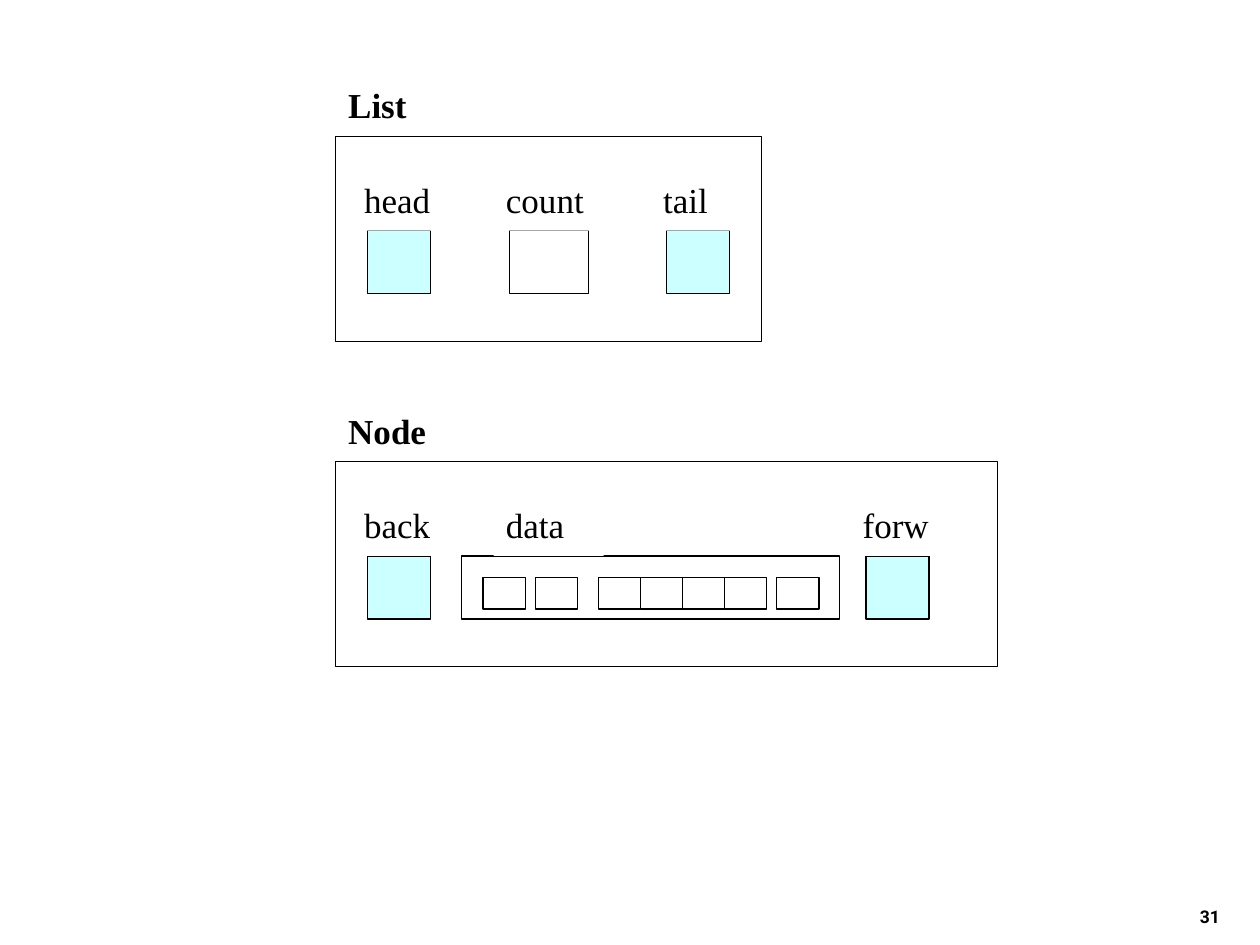
import pptx
import pptx.util
import pptx.dml.color
import pptx.enum.shapes
import pptx.enum.text

Cm, Pt = pptx.util.Cm, pptx.util.Pt
RGBColor = pptx.dml.color.RGBColor
ANCHOR = pptx.enum.text.MSO_ANCHOR
ALIGN = pptx.enum.text.PP_ALIGN

BLACK = RGBColor(0x00, 0x00, 0x00)
WHITE = RGBColor(0xFF, 0xFF, 0xFF)
CYAN = RGBColor(0xCC, 0xFF, 0xFF)

LEFT = 6.77    # left edge of both records, in cm
SIDE = 1.27    # side of a pointer cell, height of a label
SLOT = 0.85    # width of a data slot


def add_box(group, x, y, w, h, fill=WHITE, edged=True):
    box = group.shapes.add_shape(pptx.enum.shapes.MSO_SHAPE.RECTANGLE,
                                 Cm(x), Cm(y), Cm(w), Cm(h))
    box.shadow.inherit = False
    box.fill.solid()
    box.fill.fore_color.rgb = fill
    if edged:
        box.line.color.rgb = BLACK
        box.line.width = Pt(0.75)
    else:
        box.line.fill.background()
    return box


def set_text(shape, text, font, size, bold, align, anchor):
    frame = shape.text_frame
    frame.word_wrap = True
    frame.vertical_anchor = anchor
    para = frame.paragraphs[0]
    para.text = text
    para.alignment = align
    para.font.name = font
    para.font.size = Pt(size)
    para.font.bold = bold
    para.font.color.rgb = BLACK


def add_label(group, text, x, y, w, bold=False):
    box = add_box(group, x, y, w, SIDE, edged=False)
    set_text(box, text, "Times New Roman", 20, bold,
             ALIGN.LEFT, ANCHOR.MIDDLE)


def add_record(slide, name, top, width):
    """Draw a named frame whose top edge is at the given height."""
    group = slide.shapes.add_group_shape()
    add_label(group, name, LEFT, top - SIDE, 3.81, bold=True)
    add_box(group, LEFT, top, width, 4.13)
    return group


def add_field(group, name, x, top, w=SIDE, label_x=None, label_w=1.9,
              fill=CYAN):
    """Draw a cell with its label above; labels start left of the cell."""
    if label_x is None:
        label_x = x - 0.32
    add_box(group, x, top + 1.9, w, SIDE, fill)
    add_label(group, name, label_x, top + 0.63, label_w)


def add_list(slide):
    top = 2.75
    group = add_record(slide, "List", top, 8.58)
    add_field(group, "head", 7.41, top)
    add_field(group, "count", 10.27, top, 1.59, label_w=2.22, fill=WHITE)
    add_field(group, "tail", 13.44, top)


def add_node(slide):
    top = 9.31
    group = add_record(slide, "Node", top, 13.34)
    add_field(group, "back", 7.41, top)
    add_field(group, "forw", 17.46, top)
    add_field(group, "data", 9.31, top, 7.62, label_x=9.95, label_w=2.22,
              fill=WHITE)
    # Two single slots, a run of four, one single slot
    run = [12.06 + i * SLOT for i in range(4)]
    for x in [9.74, 10.8, *run, 15.66]:
        add_box(group, x, top + 2.33, SLOT, 0.64)


def add_number(slide):
    box = slide.shapes.add_textbox(Cm(19.56), Cm(17.55), Cm(5.28), Cm(SIDE))
    set_text(box, "31", "Roboto", 10, True, ALIGN.RIGHT, ANCHOR.BOTTOM)


def main():
    deck = pptx.Presentation()
    deck.slide_width = Cm(25.4)
    deck.slide_height = Cm(19.05)
    slide = deck.slides.add_slide(deck.slide_layouts[6])
    add_number(slide)
    add_node(slide)
    add_list(slide)
    deck.save("out.pptx")


if __name__ == "__main__":
    main()
